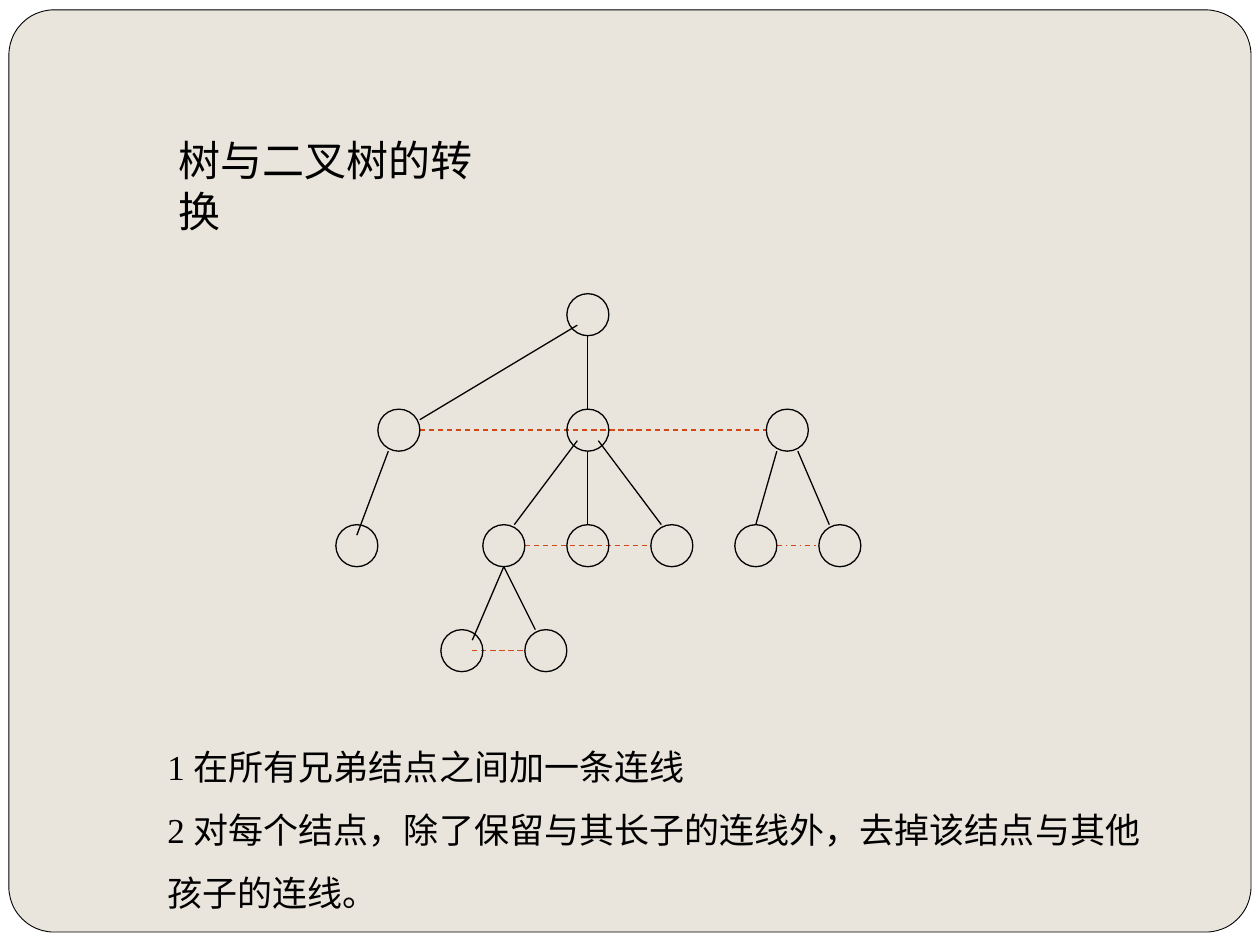
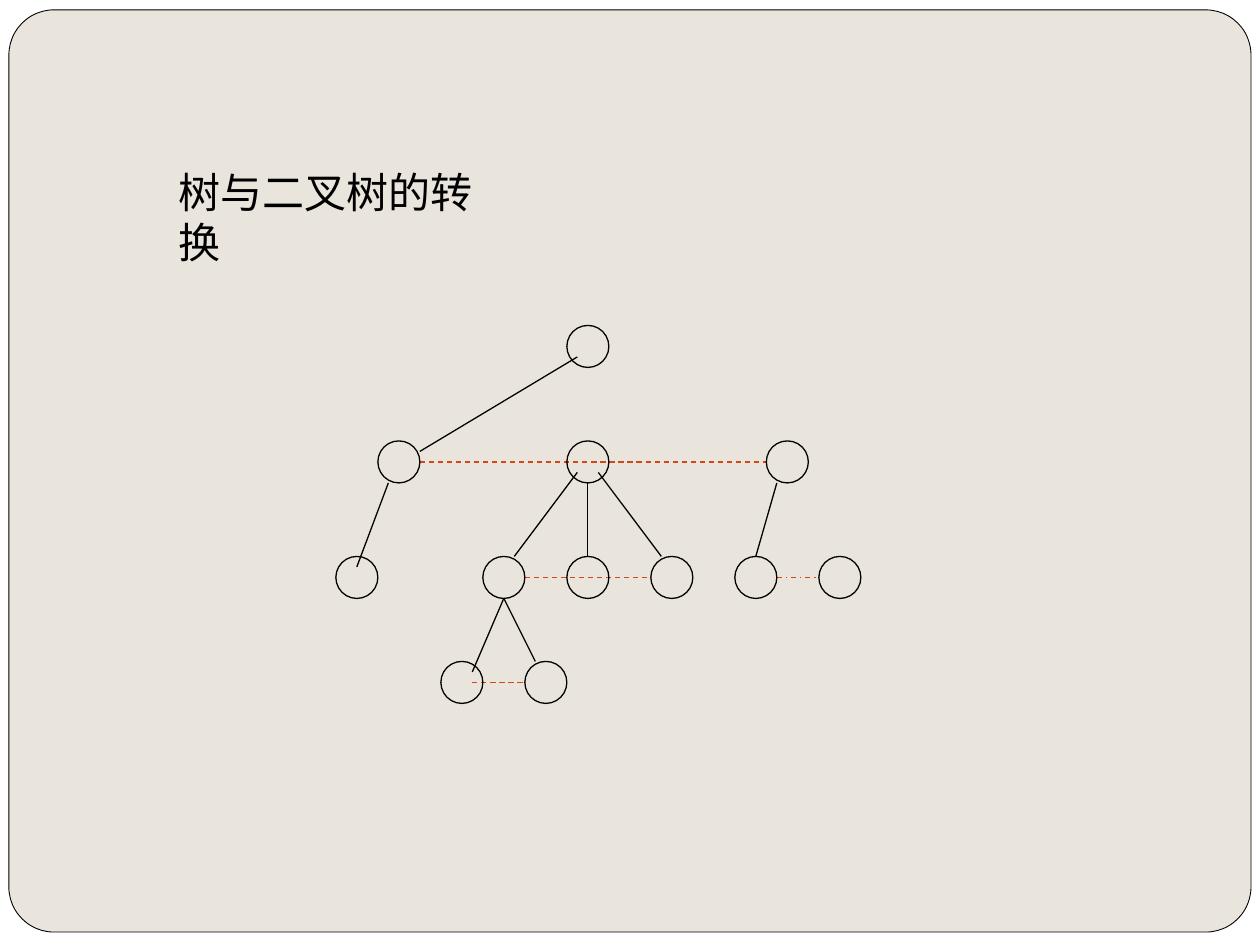
from lxml.etree import SubElement
from pptx import Presentation
from pptx.dml.color import RGBColor
from pptx.enum.dml import MSO_LINE
from pptx.enum.shapes import MSO_CONNECTOR, MSO_SHAPE
from pptx.enum.text import MSO_ANCHOR, MSO_AUTO_SIZE, PP_ALIGN
from pptx.oxml.ns import qn
from pptx.util import Cm, Pt

INK = "000000"
ACCENT = "D34817"
PAPER = "E9E5DC"
WHITE = "FFFFFF"
FONT = "Times New Roman"
UNIT = Cm(2.54) / 12
RADIUS = 2

NODES = {
    "root": (24, 2),
    "left": (6, 13), "middle": (24, 13), "right": (43, 13),
    "left child": (2, 24),
    "first": (16, 24), "second": (24, 24), "third": (32, 24),
    "elder": (40, 24), "younger": (48, 24),
    "grandchild one": (12, 34), "grandchild two": (20, 34),
}

BRANCHES = [
    ("root", (0, 2), "middle", (0, -2)),
    ("middle", (0, 2), "second", (0, -2)),
    ("root", (-1, 1), "left", (2, -1)),
    ("middle", (-1, 1), "first", (1, -2)),
    ("middle", (1, 1), "third", (-1, -2)),
    ("right", (-1, 2), "elder", (0, -2)),
    ("right", (1, 2), "younger", (-1, -2)),
    ("first", (0, 2), "grandchild one", (1, -1)),
    ("first", (0, 2), "grandchild two", (-1, -2)),
    ("left", (-1, 2), "left child", (0, -1)),
]

SIBLINGS = [
    ("left", (2, 0), "right", (-2, 0), MSO_LINE.DASH),
    ("first", (2, 0), "third", (-2, 0), MSO_LINE.DASH),
    ("grandchild one", (1, 0), "grandchild two", (-2, 0), MSO_LINE.DASH),
    ("elder", (2, 0), "younger", (-2, 0), MSO_LINE.DASH_DOT),
]

REMOVED = {("root", "middle"), ("right", "younger")}

TITLE = "树与二叉树的转换"
STEPS = [
    "1 在所有兄弟结点之间加一条连线",
    "2 对每个结点，除了保留与其长子的连线外，去掉该结点与其他孩子的连线。",
]


def color(value):
    return RGBColor.from_string(value)


def add_outline(page, kind, left, top, width, height, fill=None, line=None, weight=0.75):
    shape = page.shapes.add_shape(kind, int(left), int(top), int(width), int(height))
    shape.shadow.inherit = False
    if fill:
        shape.fill.solid()
        shape.fill.fore_color.rgb = color(fill)
    else:
        shape.fill.background()
    if line:
        shape.line.color.rgb = color(line)
        shape.line.width = Pt(weight)
    else:
        shape.line.fill.background()
    return shape


def add_line(page, start, end, line=INK, dash=None):
    points = [int(value) for value in (*start, *end)]
    connector = page.shapes.add_connector(MSO_CONNECTOR.STRAIGHT, *points)
    SubElement(connector.element.spPr, qn("a:effectLst"))
    connector.line.color.rgb = color(line)
    connector.line.width = Pt(0.75)
    if dash:
        connector.line.dash_style = dash


def write(box, lines, size, spacing=1.0):
    frame = box.text_frame
    frame.word_wrap = True
    frame.auto_size = MSO_AUTO_SIZE.SHAPE_TO_FIT_TEXT
    frame.vertical_anchor = MSO_ANCHOR.TOP
    for index, text in enumerate(lines):
        para = frame.add_paragraph() if index else frame.paragraphs[0]
        properties = para._p.get_or_add_pPr()
        properties.set("marL", "0")
        properties.set("indent", "0")
        SubElement(properties, qn("a:buNone"))
        para.alignment = PP_ALIGN.LEFT
        para.line_spacing = spacing
        para.space_before = Pt(0)
        span = para.add_run()
        span.text = text
        span.font.name = FONT
        span.font.size = Pt(size)
        span.font.color.rgb = color(INK)


def place(box, left, top, width, height):
    box.left, box.top, box.width, box.height = left, top, width, height


def style_master(deck, page):
    master = deck.slide_master
    master.background.fill.solid()
    master.background.fill.fore_color.rgb = color(PAPER)
    backdrop = add_outline(page, MSO_SHAPE.RECTANGLE, 0, 0,
                           deck.slide_width, deck.slide_height, fill=WHITE)
    panel = add_outline(page, MSO_SHAPE.ROUNDED_RECTANGLE, Cm(0.18), Cm(0.2),
                        Cm(25.04), Cm(18.59), fill=PAPER, line=INK, weight=0.5)
    panel.adjustments[0] = 0.049
    for index, shape in enumerate((backdrop, panel)):
        shape.element.nvSpPr.cNvPr.set("id", str(20 + index))
        master.shapes.element.insert(2 + index, shape.element)


def draw_tree(page, left, top, removed=()):
    def spot(node, shift):
        x, y = NODES[node]
        return left + (x + shift[0]) * UNIT, top + (y + shift[1]) * UNIT

    for start, leave, end, arrive, dash in SIBLINGS:
        add_line(page, spot(start, leave), spot(end, arrive), ACCENT, dash)
    for node in NODES:
        add_outline(page, MSO_SHAPE.OVAL, *spot(node, (-RADIUS, -RADIUS)),
                    2 * RADIUS * UNIT, 2 * RADIUS * UNIT, line=INK)
    for parent, leave, child, arrive in BRANCHES:
        if (parent, child) not in removed:
            add_line(page, spot(parent, leave), spot(child, arrive))


def fill_page(page, top, removed=()):
    place(page.shapes.title, Cm(3.35), top, Cm(7.24), Cm(1.27))
    write(page.shapes.title, [TITLE], 24)
    draw_tree(page, Cm(6.77), top + Cm(3.33), removed)


def fill_steps(box):
    place(box, Cm(3.12), Cm(14.48), Cm(20.47), Cm(4.11))
    write(box, STEPS, 20, spacing=1.5)


def main():
    deck = Presentation()
    deck.slide_width, deck.slide_height = Cm(25.4), Cm(19.05)
    linked = deck.slides.add_slide(deck.slide_layouts[1])
    style_master(deck, linked)
    fill_page(linked, Cm(2.59))
    fill_steps(linked.placeholders[1])
    pruned = deck.slides.add_slide(deck.slide_layouts[5])
    fill_page(pruned, Cm(3.23), REMOVED)
    deck.save("out.pptx")


if __name__ == "__main__":
    main()
